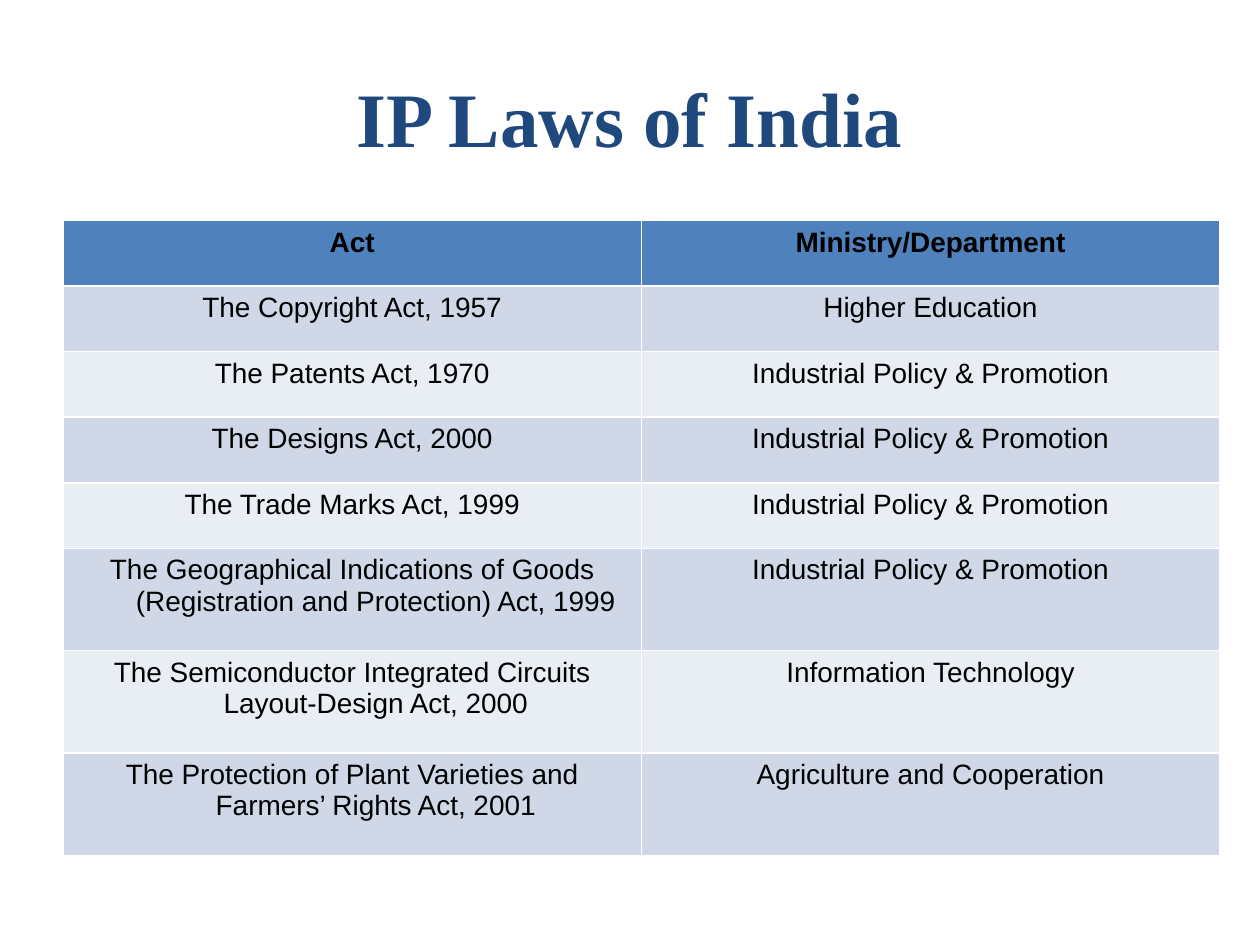
"""Build a slide with a table of the IP laws of India."""
from pptx import Presentation
from pptx.dml.color import RGBColor
from pptx.enum.text import MSO_ANCHOR, PP_ALIGN
from pptx.util import Pt

CENTER = PP_ALIGN.CENTER
MIDDLE = MSO_ANCHOR.MIDDLE
NAVY = RGBColor(0x1F, 0x49, 0x7D)
BLACK = RGBColor(0x00, 0x00, 0x00)
HEADER_BLUE = RGBColor(0x4F, 0x81, 0xBD)
BAND_DARK = RGBColor(0xD0, 0xD8, 0xE8)
BAND_LIGHT = RGBColor(0xE9, 0xED, 0xF4)

INDUSTRY = "Industrial Policy & Promotion"
SHORT_ROW, TALL_ROW = 37.5, 58.5
LAWS = [
    ("Act", "Ministry/Department", SHORT_ROW),
    ("The Copyright Act, 1957", "Higher Education", SHORT_ROW),
    ("The Patents Act, 1970", INDUSTRY, SHORT_ROW),
    ("The Designs Act, 2000", INDUSTRY, SHORT_ROW),
    ("The Trade Marks Act, 1999", INDUSTRY, SHORT_ROW),
    ("The Geographical Indications of Goods (Registration and Protection) Act, 1999",
     INDUSTRY, TALL_ROW),
    ("The Semiconductor Integrated Circuits Layout-Design Act, 2000",
     "Information Technology", TALL_ROW),
    ("The Protection of Plant Varieties and Farmers’ Rights Act, 2001",
     "Agriculture and Cooperation", TALL_ROW),
]


def write_text(frame, text, font="Arial", size=16, color=BLACK, bold=False, hanging=0):
    para = frame.paragraphs[0]
    para.alignment = CENTER
    if hanging:
        properties = para._p.get_or_add_pPr()
        properties.set("marL", str(Pt(hanging)))
        properties.set("indent", str(-Pt(hanging)))
    span = para.add_run()
    span.text = text
    span.font.name = font
    span.font.size = Pt(size)
    span.font.bold = bold
    span.font.color.rgb = color


deck = Presentation()
deck.slide_width, deck.slide_height = Pt(720), Pt(540)
page = deck.slides.add_slide(deck.slide_layouts[6])

title_box = page.shapes.add_textbox(Pt(36), Pt(21.6), Pt(648), Pt(90))
title_box.text_frame.word_wrap = True
title_box.text_frame.vertical_anchor = MIDDLE
write_text(title_box.text_frame, "IP Laws of India",
           font="Times New Roman", size=44, color=NAVY, bold=True)

table_height = sum(height for _, _, height in LAWS)
table = page.shapes.add_table(
    len(LAWS), 2, Pt(36), Pt(126), Pt(661), Pt(table_height)).table

for row_number, (act, ministry, height) in enumerate(LAWS):
    is_header = row_number == 0
    band = BAND_DARK if row_number % 2 else BAND_LIGHT
    table.rows[row_number].height = Pt(height)
    for column_number, text in enumerate((act, ministry)):
        cell = table.cell(row_number, column_number)
        cell.fill.solid()
        cell.fill.fore_color.rgb = HEADER_BLUE if is_header else band
        write_text(cell.text_frame, text, bold=is_header, hanging=27)

deck.save("out.pptx")
